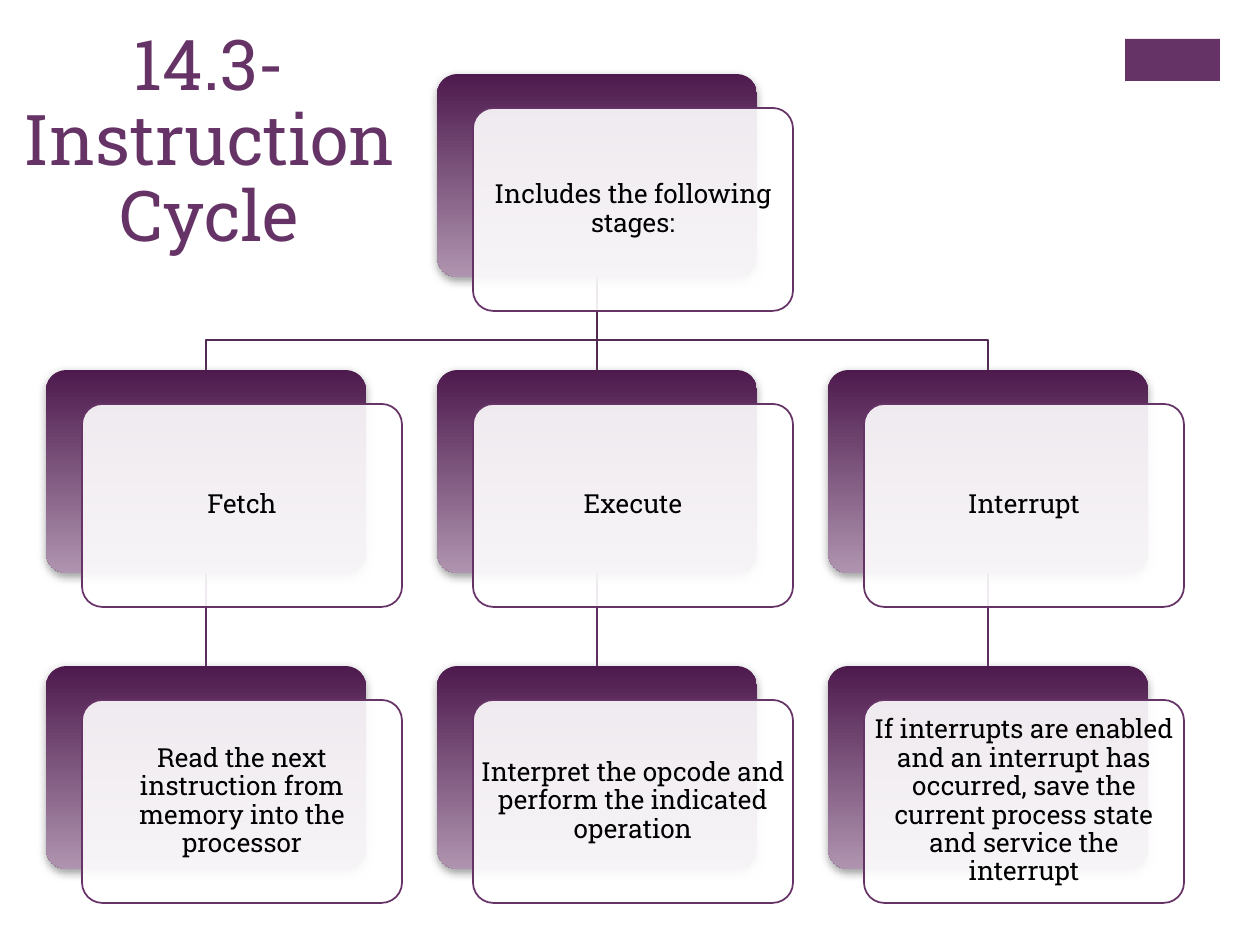
from dataclasses import dataclass

import lxml.etree
import pptx
import pptx.dml.color
import pptx.enum.shapes
import pptx.enum.text
import pptx.oxml.ns
import pptx.util

PX_PER_INCH = 126
CARD_W, CARD_H = 320, 203
SHIFT_X, SHIFT_Y = 36, 34
LEFT, TOP = 46, 74
STEP_X, STEP_Y = 391, 296
BEND = 63


@dataclass(frozen=True)
class Theme:
    font: str = "Roboto Slab"
    accent: str = "663366"
    grad_top: str = "4D1A4D"
    grad_bottom: str = "AF94AF"
    root_link: str = "522952"
    stage_link: str = "5D2E5D"
    shadow: str = "808080"
    paper: str = "FFFFFF"
    ink: str = "000000"
    title_pt: int = 40
    body_pt: int = 15
    line_pt: int = 1
    spacing: float = 0.9


@dataclass(frozen=True)
class Card:
    col: int
    row: int
    text: str

    @property
    def x(self) -> int:
        return LEFT + self.col * STEP_X

    @property
    def y(self) -> int:
        return TOP + self.row * STEP_Y

    @property
    def center(self) -> int:
        return self.x + CARD_W // 2

    @property
    def bottom(self) -> int:
        return self.y + CARD_H


THEME = Theme()
ROOT = Card(1, 0, "Includes the following stages:")
STAGES = [
    ("Fetch", "Read the next instruction from memory into the processor"),
    ("Execute", "Interpret the opcode and perform the indicated operation"),
    ("Interrupt", "If interrupts are enabled and an interrupt has occurred, "
                  "save the current process state and service the interrupt"),
]


def px(n: int) -> int:
    return pptx.util.Emu(round(n * 914400 / PX_PER_INCH))


def rgb(value: str) -> pptx.dml.color.RGBColor:
    return pptx.dml.color.RGBColor.from_string(value)


def sub(parent, tag: str, **attrs):
    return lxml.etree.SubElement(parent, pptx.oxml.ns.qn(tag),
                                 {k: str(v) for k, v in attrs.items()})


def write(tf, text: str, size: int, color: str, inset_x: int, inset_y: int) -> None:
    tf.word_wrap = True
    tf.auto_size = pptx.enum.text.MSO_AUTO_SIZE.NONE
    tf.vertical_anchor = pptx.enum.text.MSO_ANCHOR.MIDDLE
    tf.margin_left = tf.margin_right = px(inset_x)
    tf.margin_top = tf.margin_bottom = px(inset_y)
    p = tf.paragraphs[0]
    p.alignment = pptx.enum.text.PP_ALIGN.CENTER
    p.line_spacing = THEME.spacing
    r = p.add_run()
    r.text = text
    r.font.name = THEME.font
    r.font.size = pptx.util.Pt(size)
    r.font.color.rgb = rgb(color)


def add_box(s, kind, x: int, y: int, w: int, h: int):
    sp = s.shapes.add_shape(kind, px(x), px(y), px(w), px(h))
    sp.shadow.inherit = False
    sp.line.fill.background()
    return sp


def add_card_panel(s, x: int, y: int):
    sp = add_box(s, pptx.enum.shapes.MSO_SHAPE.ROUNDED_RECTANGLE, x, y, CARD_W, CARD_H)
    sp.adjustments[0] = 0.1
    return sp


def add_card(s, card: Card) -> None:
    back = add_card_panel(s, card.x, card.y)
    back.fill.gradient()
    back.fill.gradient_angle = 270
    for stop, position, color in zip(back.fill.gradient_stops, (0, 1),
                                     (THEME.grad_top, THEME.grad_bottom)):
        stop.position = position
        stop.color.rgb = rgb(color)
    effects = back._element.spPr.find(pptx.oxml.ns.qn("a:effectLst"))
    shadow = sub(effects, "a:outerShdw", blurRad=pptx.util.Pt(5), dist=pptx.util.Pt(2),
                 dir=5400000, rotWithShape=0)
    sub(sub(shadow, "a:srgbClr", val=THEME.shadow), "a:alpha", val=75000)

    front = add_card_panel(s, card.x + SHIFT_X, card.y + SHIFT_Y)
    front.fill.solid()
    front.fill.fore_color.rgb = rgb(THEME.paper)
    color = front._element.spPr.find(
        pptx.oxml.ns.qn("a:solidFill")).find(pptx.oxml.ns.qn("a:srgbClr"))
    sub(color, "a:alpha", val=90000)
    style_line(front, THEME.accent)
    write(front.text_frame, card.text, THEME.body_pt, THEME.ink, 2, 2)


def style_line(sp, color: str) -> None:
    sp.line.color.rgb = rgb(color)
    sp.line.width = pptx.util.Pt(THEME.line_pt)


def add_link(s, parent: Card, child: Card, color: str) -> None:
    x1, y1, x2, y2 = (px(v) for v in (parent.center, parent.bottom, child.center, child.y))
    if x1 == x2:
        link = s.shapes.add_connector(
            pptx.enum.shapes.MSO_CONNECTOR.STRAIGHT, x1, y1, x2, y2)
        sub(link._element.spPr, "a:effectLst")
    else:
        bend = px(parent.bottom + BEND)
        builder = s.shapes.build_freeform(x1, y1)
        builder.add_line_segments([(x1, bend), (x2, bend), (x2, y2)], close=False)
        link = builder.convert_to_shape()
        link.shadow.inherit = False
        link.fill.background()
    style_line(link, color)


def add_title(s, text: str) -> None:
    title = s.shapes.title
    title.left, title.top, title.width, title.height = px(6), px(10), px(407), px(266)
    write(title.text_frame, text, THEME.title_pt, THEME.accent, 13, 6)


def main() -> None:
    prs = pptx.Presentation()
    prs.slide_width, prs.slide_height = pptx.util.Inches(10), pptx.util.Inches(7.5)
    s = prs.slides.add_slide(prs.slide_layouts[5])
    add_title(s, "14.3-Instruction Cycle")

    tab = add_box(s, pptx.enum.shapes.MSO_SHAPE.RECTANGLE, 1125, 39, 95, 42)
    tab.fill.solid()
    tab.fill.fore_color.rgb = rgb(THEME.accent)

    branches = [(Card(col, 1, name), Card(col, 2, detail))
                for col, (name, detail) in enumerate(STAGES)]
    for stage, detail in branches:
        add_link(s, ROOT, stage, THEME.root_link)
        add_link(s, stage, detail, THEME.stage_link)
    add_card(s, ROOT)
    for branch in branches:
        for card in branch:
            add_card(s, card)
    prs.save("out.pptx")


if __name__ == "__main__":
    main()
